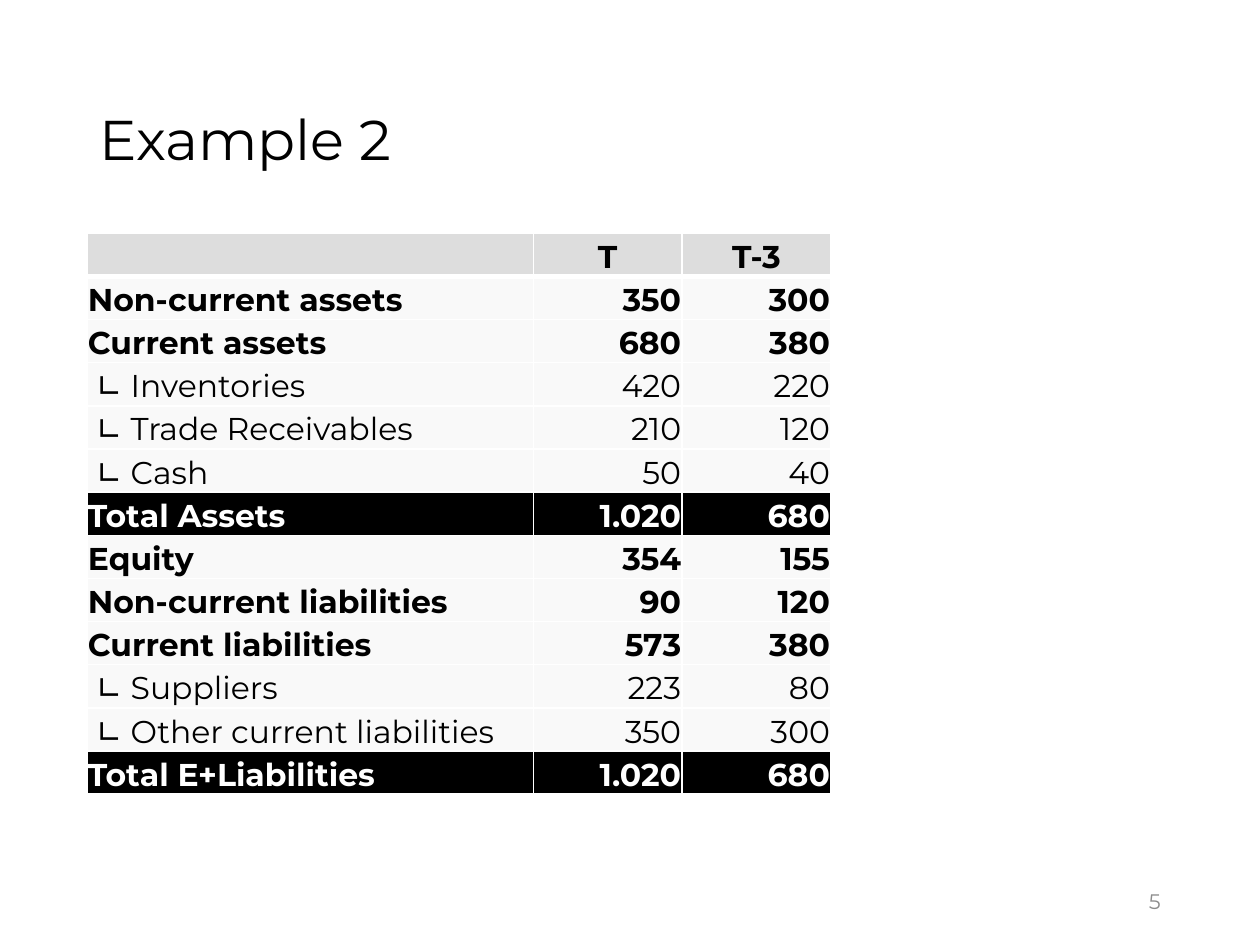
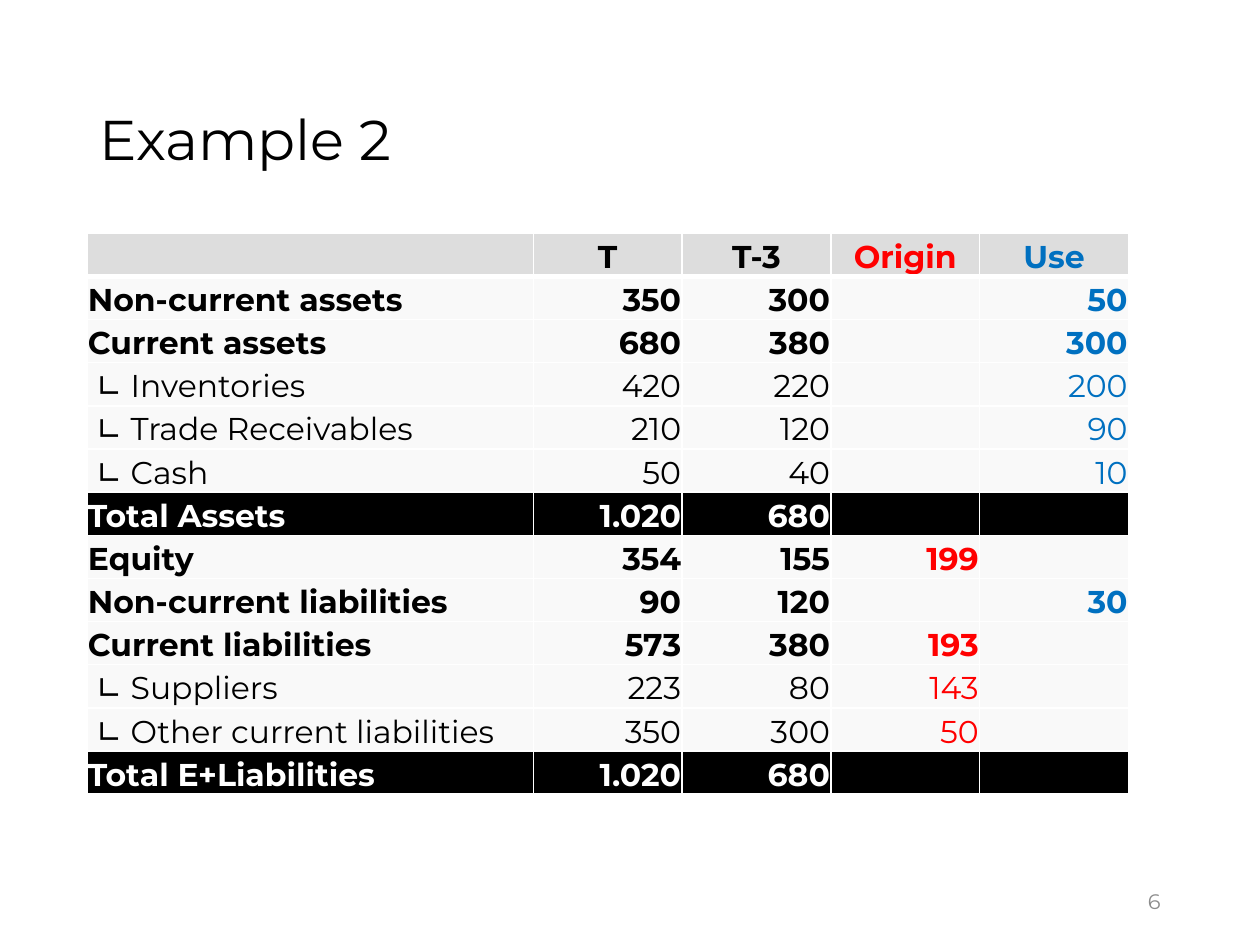
from dataclasses import dataclass

from lxml.etree import SubElement
from pptx import Presentation
from pptx.dml.color import RGBColor
from pptx.enum.text import MSO_ANCHOR, MSO_AUTO_SIZE, PP_ALIGN
from pptx.oxml.ns import qn
from pptx.util import Cm, Pt

TITLE = "Example 2"
HEADINGS = ("", "T", "T-3", "Origin", "Use")
BALANCE_SHEET = [
    ("group", "Non-current assets", "350", "300", "", "50"),
    ("group", "Current assets", "680", "380", "", "300"),
    ("detail", "Inventories", "420", "220", "", "200"),
    ("detail", "Trade Receivables", "210", "120", "", "90"),
    ("detail", "Cash", "50", "40", "", "10"),
    ("total", "Total Assets", "1.020", "680", "", ""),
    ("group", "Equity", "354", "155", "199", ""),
    ("group", "Non-current liabilities", "90", "120", "", "30"),
    ("group", "Current liabilities", "573", "380", "193", ""),
    ("detail", "Suppliers", "223", "80", "143", ""),
    ("detail", "Other current liabilities", "350", "300", "50", ""),
    ("total", "Total E+Liabilities", "1.020", "680", "", ""),
]
SLIDES = [
    {"number": "5", "columns": 3},
    {"number": "6", "columns": 5},
]


@dataclass(frozen=True)
class Theme:
    font: str = "Montserrat"
    title_size: int = 32
    table_size: int = 18
    number_size: int = 12
    ink: str = "000000"
    paper: str = "FFFFFF"
    header_fill: str = "DDDDDD"
    row_fill: str = "F9F9F9"
    origin: str = "FF0000"
    use: str = "0070C0"
    number: str = "8C8C8C"
    thin_line: int = 1
    header_line: int = 3


THEME = Theme()
COLUMN_COLORS = (THEME.ink, THEME.ink, THEME.ink, THEME.origin, THEME.use)

LEFT = Cm(1.75)
CONTENT_WIDTH = Cm(21.9)
TITLE_TOP, TITLE_HEIGHT = Cm(1.02), Cm(3.68)
TABLE_TOP = TITLE_TOP + TITLE_HEIGHT
LABEL_WIDTH, VALUE_WIDTH, ROW_HEIGHT = Cm(9), Cm(3), Cm(0.87)
NUMBER_TOP, NUMBER_WIDTH, NUMBER_HEIGHT = Cm(17.65), Cm(5.72), Cm(1.02)
CELL_MARGIN = Cm(0.02)


def format_paragraph(paragraph, size, color, alignment, bold=False):
    paragraph.alignment = alignment
    font = paragraph.font
    font.name = THEME.font
    font.size = Pt(size)
    font.bold = bold
    font.color.rgb = RGBColor.from_string(color)


def add_title(slide):
    title = slide.shapes.title
    title.left, title.top = LEFT, TITLE_TOP
    title.width, title.height = CONTENT_WIDTH, TITLE_HEIGHT
    frame = title.text_frame
    frame.text = TITLE
    frame.auto_size = MSO_AUTO_SIZE.NONE
    frame.vertical_anchor = MSO_ANCHOR.MIDDLE
    paragraph = frame.paragraphs[0]
    paragraph.line_spacing = 0.9
    format_paragraph(paragraph, THEME.title_size, THEME.ink, PP_ALIGN.LEFT)


def add_slide_number(slide, number):
    box = slide.shapes.add_textbox(
        LEFT + CONTENT_WIDTH - NUMBER_WIDTH, NUMBER_TOP, NUMBER_WIDTH, NUMBER_HEIGHT
    )
    frame = box.text_frame
    frame.word_wrap = True
    frame.vertical_anchor = MSO_ANCHOR.MIDDLE
    frame.text = number
    format_paragraph(
        frame.paragraphs[0], THEME.number_size, THEME.number, PP_ALIGN.RIGHT
    )


def add_borders(cell, row):
    top = THEME.header_line if row == 1 else THEME.thin_line
    bottom = THEME.header_line if row == 0 else THEME.thin_line
    widths = {"lnL": THEME.thin_line, "lnR": THEME.thin_line, "lnT": top, "lnB": bottom}
    properties = cell._tc.get_or_add_tcPr()
    for side, width in widths.items():
        line = SubElement(properties, qn(f"a:{side}"), w=str(Pt(width)))
        fill = SubElement(line, qn("a:solidFill"))
        SubElement(fill, qn("a:srgbClr"), val=THEME.paper)


def fill_cell(cell, row, column, kind, text):
    add_borders(cell, row)
    fills = {"header": THEME.header_fill, "total": THEME.ink}
    cell.fill.solid()
    cell.fill.fore_color.rgb = RGBColor.from_string(fills.get(kind, THEME.row_fill))
    cell.margin_left = cell.margin_right = cell.margin_top = CELL_MARGIN
    cell.margin_bottom = 0
    cell.vertical_anchor = MSO_ANCHOR.BOTTOM

    if kind == "header":
        alignment = PP_ALIGN.CENTER
    else:
        alignment = PP_ALIGN.RIGHT if column else PP_ALIGN.LEFT
    cell.text = f" ∟ {text}" if kind == "detail" and column == 0 else text
    color = THEME.paper if kind == "total" else COLUMN_COLORS[column]
    format_paragraph(
        cell.text_frame.paragraphs[0],
        THEME.table_size,
        color,
        alignment,
        bold=kind != "detail",
    )


def add_balance_sheet(slide, column_count):
    rows = [("header", *HEADINGS), *BALANCE_SHEET]
    widths = [LABEL_WIDTH] + [VALUE_WIDTH] * (column_count - 1)
    table = slide.shapes.add_table(
        len(rows), column_count, LEFT, TABLE_TOP, sum(widths), ROW_HEIGHT * len(rows)
    ).table
    table.first_row = False
    table.horz_banding = False
    for table_column, width in zip(table.columns, widths):
        table_column.width = width
    for row, (kind, *texts) in enumerate(rows):
        table.rows[row].height = ROW_HEIGHT
        for column, text in enumerate(texts[:column_count]):
            fill_cell(table.cell(row, column), row, column, kind, text)


def main():
    presentation = Presentation()
    presentation.slide_width, presentation.slide_height = Cm(25.4), Cm(19.05)
    title_only = presentation.slide_layouts[5]
    for content in SLIDES:
        slide = presentation.slides.add_slide(title_only)
        add_title(slide)
        add_slide_number(slide, content["number"])
        add_balance_sheet(slide, content["columns"])
    presentation.save("out.pptx")


if __name__ == "__main__":
    main()
